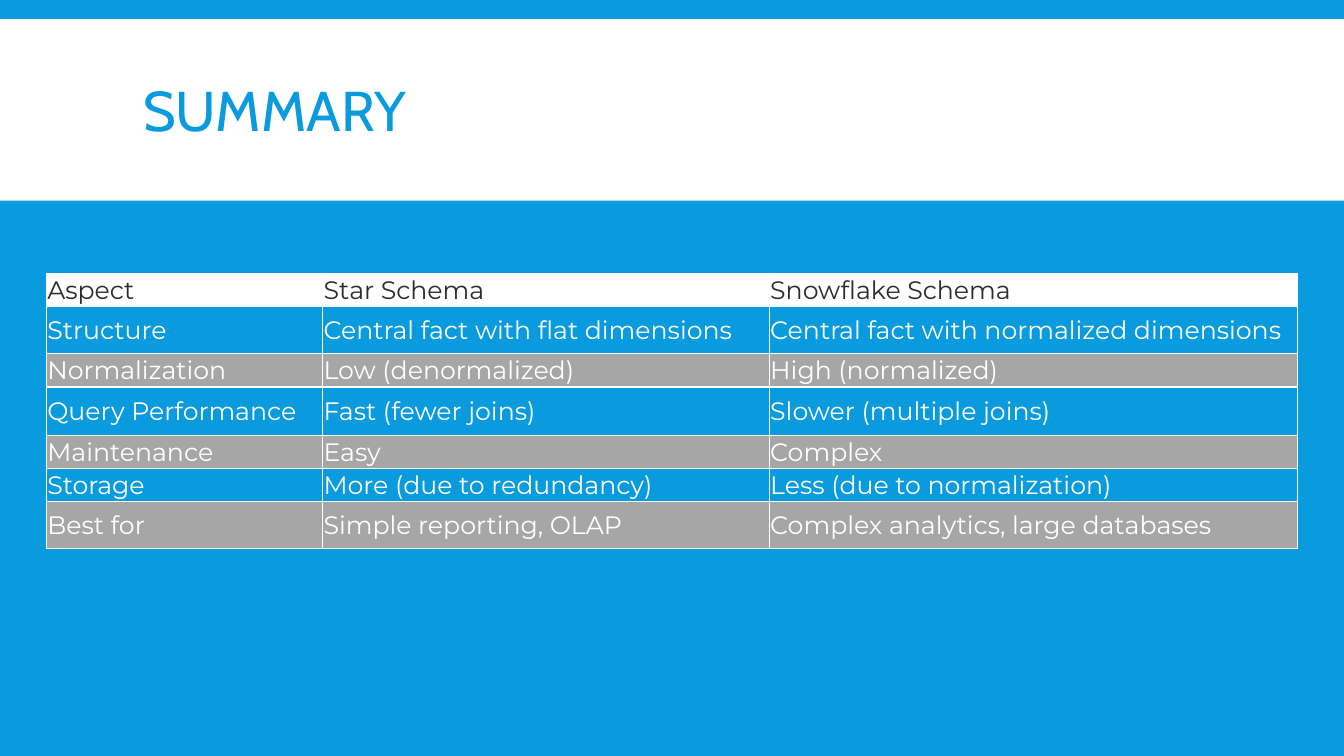
"""Builds a summary slide comparing star and snowflake schemas in a table."""
from lxml.etree import SubElement
from pptx import Presentation
from pptx.dml.color import RGBColor
from pptx.enum.shapes import MSO_SHAPE
from pptx.enum.text import MSO_ANCHOR, PP_ALIGN
from pptx.oxml.ns import qn
from pptx.util import Inches, Pt

BLUE = RGBColor(0x09, 0x9B, 0xDD)
WHITE = RGBColor(0xFF, 0xFF, 0xFF)
GRAY = RGBColor(0xA6, 0xA6, 0xA6)
DARK = RGBColor(0x2C, 0x2C, 0x2C)

COLUMN_WIDTHS = [2.74, 4.43, 5.24]
ROW_HEIGHTS = [0.33, 0.47, 0.33, 0.48, 0.33, 0.33, 0.46]
ROWS = [
    ["Aspect", "Star Schema", "Snowflake Schema"],
    ["Structure", "Central fact with flat dimensions", "Central fact with normalized dimensions"],
    ["Normalization", "Low (denormalized)", "High (normalized)"],
    ["Query Performance", "Fast (fewer joins)", "Slower (multiple joins)"],
    ["Maintenance", "Easy", "Complex"],
    ["Storage", "More (due to redundancy)", "Less (due to normalization)"],
    ["Best for", "Simple reporting, OLAP", "Complex analytics, large databases"],
]


def write_text(frame, text, *, font, size, color, spacing=1.0):
    frame.word_wrap = True
    paragraph = frame.paragraphs[0]
    paragraph.alignment = PP_ALIGN.LEFT
    paragraph.line_spacing = spacing
    run = paragraph.add_run()
    run.text = text
    run.font.name = font
    run.font.size = Pt(size)
    run.font.color.rgb = color


def add_borders(cell, color, width):
    properties = cell._tc.get_or_add_tcPr()
    for position, side in enumerate(["lnL", "lnR", "lnT", "lnB"]):
        line = SubElement(properties, qn(f"a:{side}"), w=str(Pt(width)))
        fill = SubElement(line, qn("a:solidFill"))
        SubElement(fill, qn("a:srgbClr"), val=str(color))
        properties.insert(position, line)


presentation = Presentation()
presentation.slide_width = Inches(13.33)
presentation.slide_height = Inches(7.5)
slide = presentation.slides.add_slide(presentation.slide_layouts[5])
slide.background.fill.solid()
slide.background.fill.fore_color.rgb = BLUE

title_band = slide.shapes.add_shape(
    MSO_SHAPE.RECTANGLE, Inches(0), Inches(0.19), Inches(13.33), Inches(1.8))
title_band.shadow.inherit = False
title_band.fill.solid()
title_band.fill.fore_color.rgb = WHITE
title_band.line.fill.background()

title = slide.shapes.title
title_band.element.addnext(title.element)
title.left, title.top = Inches(1.32), Inches(0.31)
title.width, title.height = Inches(10.7), Inches(1.65)
title.text_frame.vertical_anchor = MSO_ANCHOR.MIDDLE
write_text(title.text_frame, "SUMMARY", font="Cabin", size=40, color=BLUE, spacing=0.85)

table = slide.shapes.add_table(
    len(ROWS), len(COLUMN_WIDTHS), Inches(0.46), Inches(2.71),
    Inches(sum(COLUMN_WIDTHS)), Inches(sum(ROW_HEIGHTS))).table
table.first_row = False
table.horz_banding = False
for column, width in zip(table.columns, COLUMN_WIDTHS):
    column.width = Inches(width)

for row_index, (row, height, texts) in enumerate(zip(table.rows, ROW_HEIGHTS, ROWS)):
    row.height = Inches(height)
    is_header = row_index == 0
    for cell, text in zip(row.cells, texts):
        cell.vertical_anchor = MSO_ANCHOR.MIDDLE
        cell.margin_left = cell.margin_right = cell.margin_top = Inches(0.01)
        cell.margin_bottom = Inches(0)
        if row_index % 2:
            cell.fill.background()
        else:
            cell.fill.solid()
            cell.fill.fore_color.rgb = WHITE if is_header else GRAY
        add_borders(cell, WHITE, 1)
        write_text(cell.text_frame, text, font="Montserrat", size=18,
                   color=DARK if is_header else WHITE)

presentation.save("out.pptx")
